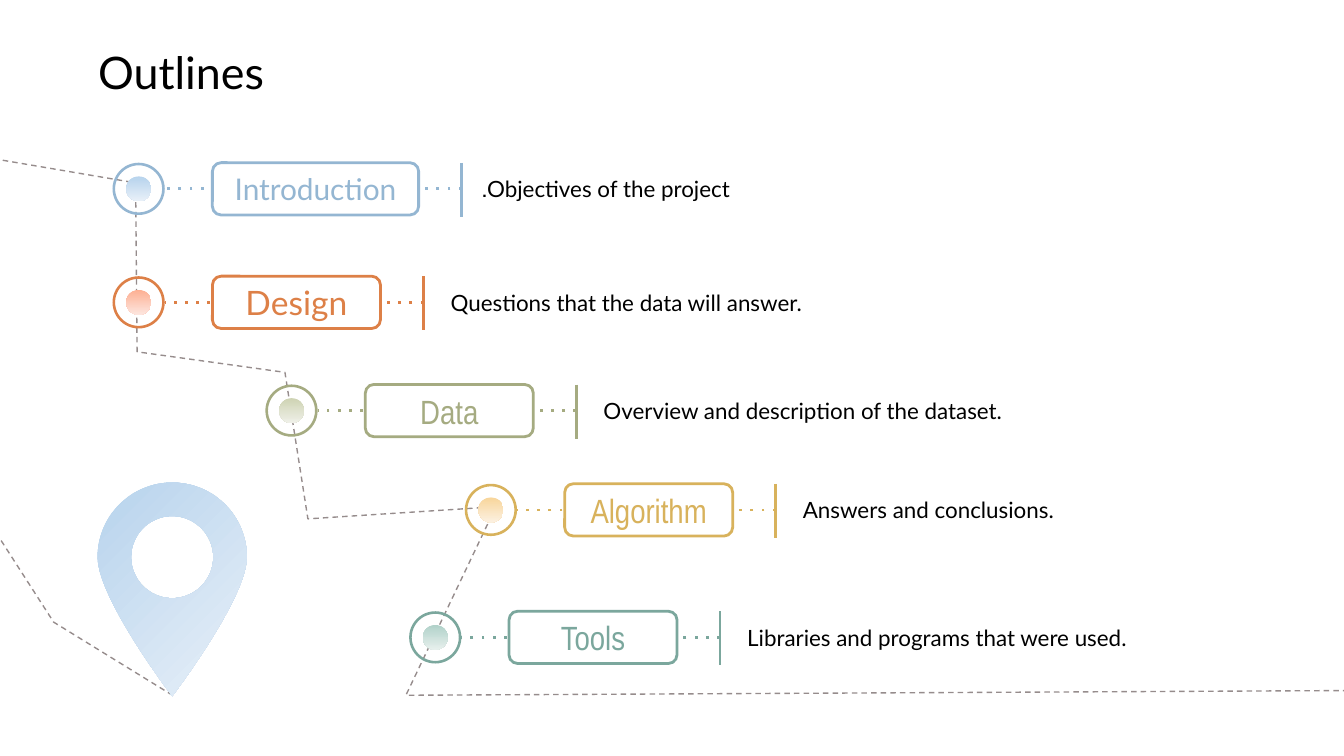
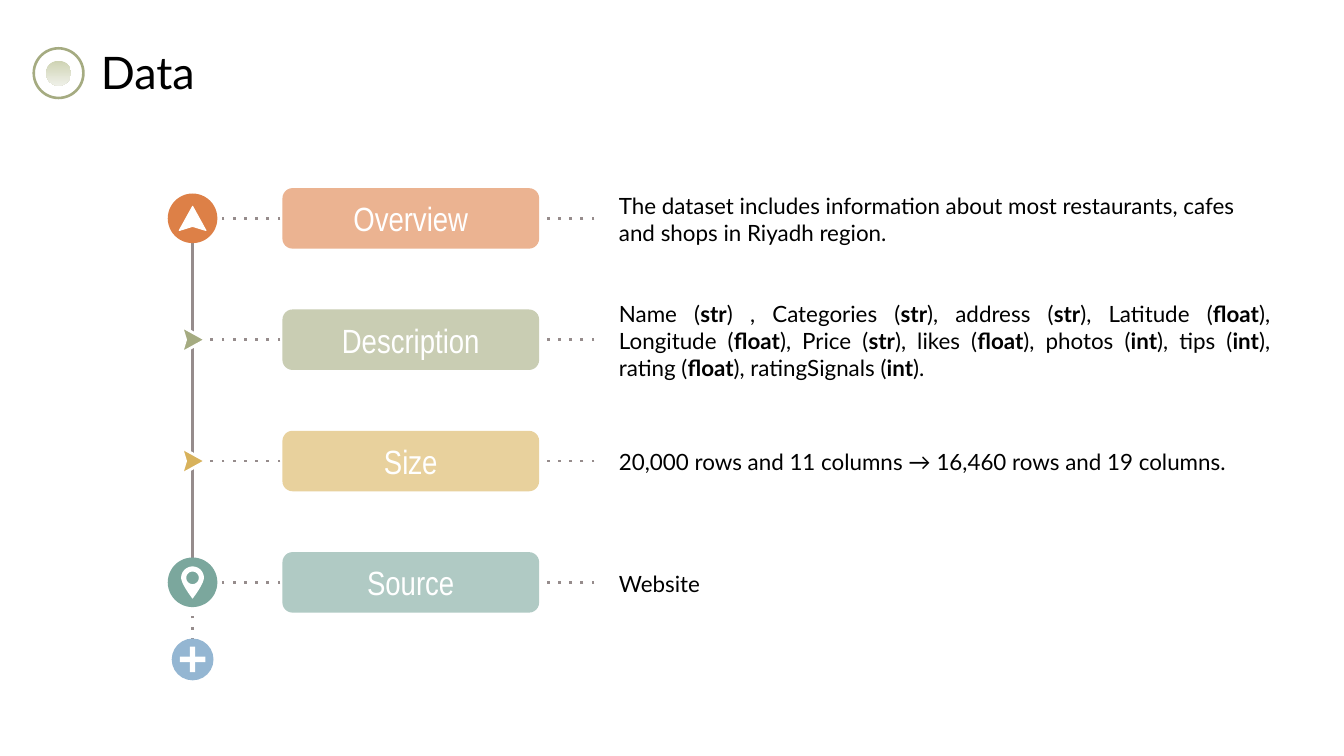
from dataclasses import dataclass
from math import cos, pi, sin

from lxml.etree import SubElement
from pptx import Presentation
from pptx.dml.color import RGBColor as Rgb
from pptx.enum.dml import MSO_LINE
from pptx.enum.shapes import MSO_CONNECTOR, MSO_SHAPE as Preset
from pptx.enum.text import MSO_ANCHOR, PP_ALIGN as Align
from pptx.oxml.ns import qn
from pptx.util import Pt

# Shared look
BLACK = Rgb(0x00, 0x00, 0x00)
WHITE = Rgb(0xFF, 0xFF, 0xFF)
GREY = Rgb(0x96, 0x8C, 0x8C)
BODY_FONT = "Lato"
LABEL_FONT = "Arial Narrow"
INSET = 7.2


@dataclass(frozen=True)
class Tone:
    main: Rgb
    glow: Rgb
    fade: Rgb
    soft: Rgb = WHITE


BLUE = Tone(Rgb(0x94, 0xB6, 0xD2), Rgb(0xB7, 0xD3, 0xED), Rgb(0xE8, 0xF0, 0xF8))
ORANGE = Tone(Rgb(0xDD, 0x80, 0x47), Rgb(0xFD, 0xAF, 0x92),
              Rgb(0xFD, 0xE6, 0xDF), Rgb(0xEB, 0xB3, 0x91))
OLIVE = Tone(Rgb(0xA5, 0xAB, 0x81), Rgb(0xCE, 0xD3, 0xB3),
             Rgb(0xEF, 0xF0, 0xE8), Rgb(0xC9, 0xCD, 0xB3))
GOLD = Tone(Rgb(0xD8, 0xB2, 0x5C), Rgb(0xF8, 0xD5, 0x9A),
            Rgb(0xFC, 0xF1, 0xE1), Rgb(0xE8, 0xD1, 0x9D))
TEAL = Tone(Rgb(0x7B, 0xA7, 0x9D), Rgb(0xB0, 0xD1, 0xC9),
            Rgb(0xE7, 0xF0, 0xED), Rgb(0xB0, 0xCA, 0xC4))


# Drawing helpers
def paint(shape, fill=None, line=None, width=1.5):
    shape.shadow.inherit = False
    if fill is None:
        shape.fill.background()
    else:
        shape.fill.solid()
        shape.fill.fore_color.rgb = fill
    if line is None:
        shape.line.fill.background()
    else:
        shape.line.color.rgb = line
        shape.line.width = Pt(width)
    return shape


def paint_gradient(shape, tone, angle):
    paint(shape)
    shape.fill.gradient()
    shape.fill.gradient_angle = angle
    for stop, color in zip(shape.fill.gradient_stops, (tone.glow, tone.fade)):
        stop.color.rgb = color


def add_line(page, start, end, color, dotted=False):
    line = page.shapes.add_connector(
        MSO_CONNECTOR.STRAIGHT, *(Pt(value) for value in (*start, *end)))
    line.line.color.rgb = color
    line.line.width = Pt(1.5)
    if dotted:
        line.line.dash_style = MSO_LINE.DASH
        for dash in line._element.iter(qn("a:prstDash")):
            dash.set("val", "dot")
    SubElement(line._element.spPr, qn("a:effectLst"))


def add_outline(page, *contours, close=True):
    contours = [[(Pt(x), Pt(y)) for x, y in points] for points in contours]
    builder = page.shapes.build_freeform(*contours[0][0])
    for index, points in enumerate(contours):
        if index:
            builder.move_to(*points[0])
        builder.add_line_segments(points[1:], close=close)
    return builder.convert_to_shape()


def add_centred(page, preset, x, y, width, height):
    return page.shapes.add_shape(preset, Pt(x - width / 2), Pt(y - height / 2),
                                 Pt(width), Pt(height))


def write(shape, text, size, color=BLACK, font=BODY_FONT, align=None, rtl=False):
    """Write one paragraph; parts between asterisks are bold."""
    frame = shape.text_frame
    frame.word_wrap = True
    frame.vertical_anchor = MSO_ANCHOR.MIDDLE
    frame.margin_left = frame.margin_right = Pt(INSET)
    frame.margin_top = frame.margin_bottom = Pt(INSET)
    para = frame.paragraphs[0]
    para.alignment = align or Align.LEFT
    if rtl:
        para._p.get_or_add_pPr().set("rtl", "1")
    for index, part in enumerate(text.split("*")):
        span = para.add_run()
        span.text = part
        span.font.name = font
        span.font.size = Pt(size)
        span.font.color.rgb = color
        span.font.bold = index % 2 == 1


def add_text(page, text, left, middle, width, height, size=12, **style):
    box = page.shapes.add_textbox(Pt(left), Pt(middle - height / 2),
                                  Pt(width), Pt(height))
    write(box, text, size, **style)


def add_label(page, text, left, middle, width, height, fill, line, color,
              size=18, font=LABEL_FONT):
    box = add_centred(page, Preset.ROUNDED_RECTANGLE, left + width / 2, middle,
                      width, height)
    paint(box, fill, line)
    write(box, text, size, color, font, Align.CENTER)


# Shared parts
def add_title(page, text, left):
    add_text(page, text, left, 38.5, 385, 30, size=24)


def add_ring(page, x, y, tone):
    paint_gradient(add_centred(page, Preset.OVAL, x, y, 13.4, 13.4), tone, 270)
    ring = add_centred(page, Preset.DONUT, x, y, 28, 28)
    ring.adjustments[0] = 0.05
    paint(ring, tone.main)


def add_pin(page, x, top, radius, height):
    """Map pin: round head, tapering tail and a round hole."""
    middle = top + radius
    tail = height - radius
    head = [(x - radius * cos(pi * i / 40), middle - radius * sin(pi * i / 40))
            for i in range(41)]
    side = []
    for i in range(1, 21):
        t = i / 20
        bow = (1 - t) ** 3 + 3 * t * (1 - t) ** 2
        drop = 3 * t * (1 - t) ** 2 * 0.55 * radius + (3 * t * t - 2 * t ** 3) * tail
        side.append((radius * bow, middle + drop))
    right = [(x + dx, y) for dx, y in side]
    left = [(x - dx, y) for dx, y in reversed(side[:-1])]
    hole = [(x + 0.55 * radius * cos(pi * i / 30), middle + 0.55 * radius * sin(pi * i / 30))
            for i in range(60)]
    return add_outline(page, head + right + left, hole)


def add_pointer(page, x, y, fill, turn=0, width=1.5):
    """Notched arrowhead, pointing up before it is turned."""
    corners = [(0, -6.5), (-7.2, 6.5), (0, 4.3), (7.2, 6.5)]
    pointer = add_outline(page, [(x + dx, y + dy) for dx, dy in corners])
    pointer.rotation = turn
    paint(pointer, fill, WHITE, width)


# Outline slide
@dataclass(frozen=True)
class Stop:
    x: float
    y: float
    tone: Tone
    label: str
    text: str
    width: float = 90
    size: int = 18
    font: str = LABEL_FONT
    gap: float = 7.5
    rtl: bool = False


STOPS = [
    Stop(74.3, 162, ORANGE, "Design", "Questions that the data will answer.",
         font=BODY_FONT),
    Stop(156.2, 220, OLIVE, "Data", "Overview and description of the dataset."),
    Stop(263, 273.2, GOLD, "Algorithm", "Answers and conclusions."),
    Stop(233.2, 341.5, TEAL, "Tools", "Libraries and programs that were used."),
    Stop(74.3, 101.2, BLUE, "Introduction", "Objectives of the project.",
         width=110.5, size=16, font=BODY_FONT, gap=3.6, rtl=True),
]
ROUTE = [(-3.6, 85), (72.7, 98), (73.5, 188.5), (152.7, 199.5), (165, 278),
         (265.7, 271.5), (217.5, 372.5), (721.5, 370)]
PIN_ROUTE = [(92.5, 372.5), (28.8, 333.3), (-3.6, 283)]


def add_stop(page, stop):
    x, y, color = stop.x, stop.y, stop.tone.main
    left = x + 39.5
    bar = left + stop.width + 23
    add_line(page, (bar, y), (x + 14, y), color, dotted=True)
    add_ring(page, x, y, stop.tone)
    add_line(page, (bar, y - 14), (bar, y + 15), color)
    add_label(page, stop.label, left, y, stop.width, 28, WHITE, color, color,
              stop.size, stop.font)
    add_text(page, stop.text, bar + stop.gap, y, 270, 34, rtl=stop.rtl)


def build_outline(page):
    for points in (ROUTE, PIN_ROUTE):
        trail = paint(add_outline(page, points, close=False), None, GREY, 0.75)
        trail.line.dash_style = MSO_LINE.DASH
    paint_gradient(add_pin(page, 92.3, 258.5, 40, 114.5), BLUE, 315)
    add_title(page, "Outlines", 45.5)
    for stop in STOPS:
        add_stop(page, stop)


# Data slide
SPINE = 103.2
FIRST_ROW, ROW_STEP = 117, 65
FIELDS = ("Name (*str*) , Categories (*str*), address (*str*), Latitude (*float*), "
          "Longitude (*float*), Price (*str*), likes (*float*), photos (*int*), "
          "tips (*int*), rating (*float*), ratingSignals (*int*).")
ROWS = [
    ("Overview", ORANGE, "The dataset includes information about most restaurants, "
     "cafes and shops in Riyadh region.", Align.LEFT),
    ("Description", OLIVE, FIELDS, Align.JUSTIFY),
    ("Size", GOLD, "20,000 rows and 11 columns → 16,460 rows and 19 columns.", Align.LEFT),
    ("Source", TEAL, "Website", Align.LEFT),
]


def add_marker(page, index, y, tone):
    if 0 < index < len(ROWS) - 1:
        add_pointer(page, SPINE + 0.5, y, tone.main, turn=90)
        return
    paint(add_centred(page, Preset.OVAL, SPINE, y, 26.6, 26.6), tone.main)
    if index == 0:
        add_pointer(page, SPINE, y, WHITE, width=0.5)
    else:
        paint(add_pin(page, SPINE, y - 8.5, 6.1, 17.3), WHITE)


def add_row(page, index, row):
    name, tone, text, align = row
    y = FIRST_ROW + index * ROW_STEP
    add_line(page, (318.5, y), (SPINE, y), GREY, dotted=True)
    add_marker(page, index, y, tone)
    add_label(page, name, 151.3, y, 137.5, 32.4, tone.soft, None, WHITE)
    add_text(page, text, 324.5, y + 0.5, 363, 43, align=align)


def add_plus(page, y):
    add_line(page, (SPINE, y + 2), (SPINE, y - 36), GREY, dotted=True)
    paint(add_centred(page, Preset.OVAL, SPINE, y, 22.4, 22.4), BLUE.main)
    for width, height in ((13.7, 2.9), (2.9, 13.7)):
        paint(add_centred(page, Preset.RECTANGLE, SPINE, y, width, height), WHITE)


def build_data(page):
    add_plus(page, 353.3)
    add_line(page, (SPINE, 114), (SPINE, 315.5), GREY)
    for index, row in enumerate(ROWS):
        add_row(page, index, row)
    add_title(page, "Data", 47)
    add_ring(page, 31.4, 39.2, OLIVE)


def main():
    deck = Presentation()
    deck.slide_width, deck.slide_height = Pt(720), Pt(405)
    for build in (build_outline, build_data):
        build(deck.slides.add_slide(deck.slide_layouts[6]))
    deck.save("out.pptx")


if __name__ == "__main__":
    main()
